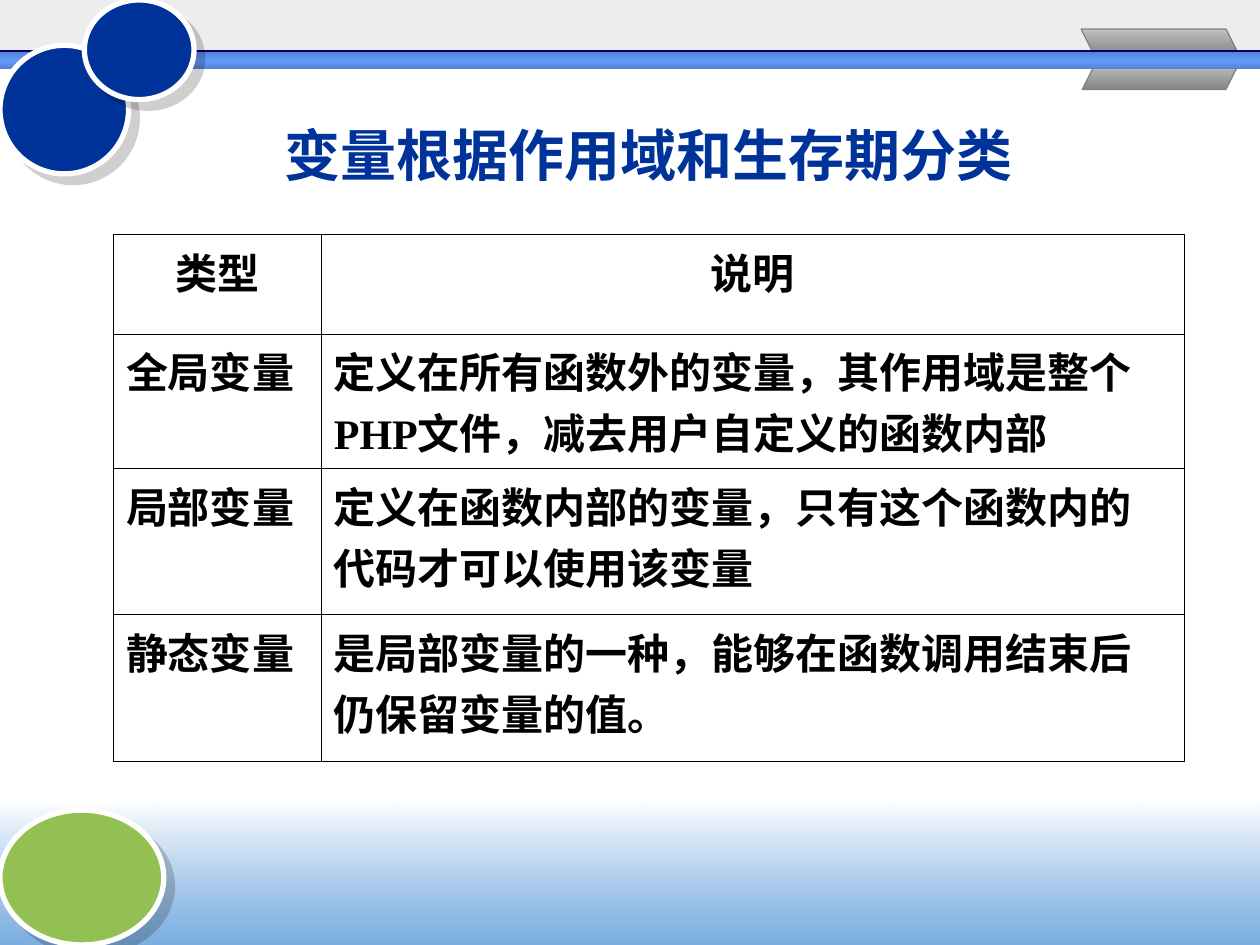
from lxml import etree
from pptx import Presentation
from pptx.dml.color import RGBColor
from pptx.enum.shapes import MSO_SHAPE
from pptx.enum.text import MSO_ANCHOR, PP_ALIGN
from pptx.oxml import parse_xml
from pptx.oxml.ns import nsdecls, qn
from pptx.util import Inches, Pt

RECT, OVAL = MSO_SHAPE.RECTANGLE, MSO_SHAPE.OVAL
CENTER, LEFT = PP_ALIGN.CENTER, PP_ALIGN.LEFT
MIDDLE = MSO_ANCHOR.MIDDLE
TITLE_ONLY = 5

TITLE = "变量根据作用域和生存期分类 "
ROWS = [
    ("类型", "说明"),
    ("全局变量", "定义在所有函数外的变量，其作用域是整个PHP文件，减去用户自定义的函数内部"),
    ("局部变量", "定义在函数内部的变量，只有这个函数内的代码才可以使用该变量"),
    ("静态变量", "是局部变量的一种，能够在函数调用结束后仍保留变量的值。"),
]
COLUMN_WIDTHS = [1.65, 6.85]
ROW_HEIGHTS = [0.79, 1.07, 1.16, 1.16]

BANDS = [
    ((0, 0, 10, 0.52), [(0, "EAEAEA", 81), (100, "EAEAEA", 81)]),
    ((0, 6.35, 10, 1.15), [(0, "FFFFFF", 100), (100, "5E9CDA", 81)]),
]
RIBBONS = [
    ([(9.73, 0.23), (9.83, 0.43), (8.68, 0.43), (8.58, 0.23)], "878787"),
    ([(9.73, 0.71), (9.83, 0.51), (8.69, 0.51), (8.59, 0.71)], "858585"),
]
STRIPES = [
    ((0, 0.4, 10, 0.14), [(0, "000066", 100), (100, "000066", 100)]),
    ((0, 0.41, 10, 0.14), [(0, "5580D5", 100), (50, "6699FF", 100), (100, "5580D5", 100)]),
]
CIRCLES = [
    ((0, 6.43, 1.3, 1.07), "93C052"),
    ((0, 0.36, 1.02, 1.02), "003399"),
    ((0.67, 0, 0.87, 0.79), "003399"),
]


def color(hex_text):
    return RGBColor.from_string(hex_text)


def paint_gradient(shape, stops):
    shape.fill.gradient()
    shape.fill.gradient_angle = 270
    stop_list = shape.fill._fill._gradFill.find(qn("a:gsLst"))
    for old_stop in list(stop_list):
        stop_list.remove(old_stop)
    for position, hex_text, opacity in stops:
        stop = etree.SubElement(stop_list, qn("a:gs"), pos=str(position * 1000))
        tint = etree.SubElement(stop, qn("a:srgbClr"), val=hex_text)
        etree.SubElement(tint, qn("a:alpha"), val=str(opacity * 1000))


def add_band(shapes, box, stops):
    band = shapes.add_shape(RECT, *map(Inches, box))
    band.shadow.inherit = False
    band.line.fill.background()
    paint_gradient(band, stops)


def add_ribbon(shapes, points, dark):
    corners = [(Inches(x), Inches(y)) for x, y in points]
    builder = shapes.build_freeform(*corners[0])
    builder.add_line_segments(corners[1:], close=True)
    ribbon = builder.convert_to_shape()
    ribbon.shadow.inherit = False
    ribbon.line.color.rgb = color("808080")
    ribbon.line.width = Pt(0.75)
    paint_gradient(ribbon, [(0, "C0C0C0", 100), (100, dark, 100)])


def add_circle(shapes, box, hex_text):
    circle = shapes.add_shape(OVAL, *map(Inches, box))
    circle.fill.solid()
    circle.fill.fore_color.rgb = color(hex_text)
    circle.line.color.rgb = color("FFFFFF")
    circle.line.width = Pt(3)
    circle.shadow.inherit = False
    circle._element.spPr.find(qn("a:effectLst")).append(parse_xml(
        f'<a:outerShdw {nsdecls("a")} dist="{Pt(7.1)}" dir="2700000" algn="ctr" rotWithShape="0">'
        '<a:srgbClr val="000000"><a:alpha val="19000"/></a:srgbClr></a:outerShdw>'))


def write(frame, text, align, font_name, size, hex_text):
    paragraph = frame.paragraphs[0]
    paragraph.alignment = align
    run = paragraph.add_run()
    run.text = text
    run.font.name = font_name
    run.font.size = Pt(size)
    run.font.bold = True
    run.font.color.rgb = color(hex_text)


def add_borders(cell):
    for side in ("lnL", "lnR", "lnT", "lnB"):
        cell._tc.get_or_add_tcPr().append(parse_xml(
            f'<a:{side} {nsdecls("a")} w="{Pt(0.45)}"><a:solidFill>'
            f'<a:srgbClr val="000000"/></a:solidFill></a:{side}>'))


def add_variable_table(shapes):
    table = shapes.add_table(
        len(ROWS), len(COLUMN_WIDTHS), Inches(0.9), Inches(1.86),
        Inches(sum(COLUMN_WIDTHS)), Inches(sum(ROW_HEIGHTS))).table
    table.first_row = table.horz_banding = False
    for column, width in zip(table.columns, COLUMN_WIDTHS):
        column.width = Inches(width)
    for r, (texts, height) in enumerate(zip(ROWS, ROW_HEIGHTS)):
        table.rows[r].height = Inches(height)
        for c, text in enumerate(texts):
            cell = table.cell(r, c)
            add_borders(cell)
            cell.fill.background()
            write(cell.text_frame, text, CENTER if r == 0 else LEFT,
                  "Times New Roman", 24, "000000")


def main():
    deck = Presentation()
    deck.slide_width, deck.slide_height = Inches(10), Inches(7.5)
    slide = deck.slides.add_slide(deck.slide_layouts[TITLE_ONLY])
    shapes = slide.shapes

    for box, stops in BANDS:
        add_band(shapes, box, stops)
    for points, dark in RIBBONS:
        add_ribbon(shapes, points, dark)
    for box, stops in STRIPES:
        add_band(shapes, box, stops)
    for box, hex_text in CIRCLES:
        add_circle(shapes, box, hex_text)

    title = shapes.title
    title.left, title.top, title.width, title.height = map(Inches, (1.38, 0.84, 7.64, 0.77))
    title.text_frame.vertical_anchor = MIDDLE
    write(title.text_frame, TITLE, CENTER, "Arial", 32, "003399")
    add_variable_table(shapes)
    deck.save("out.pptx")


if __name__ == "__main__":
    main()
